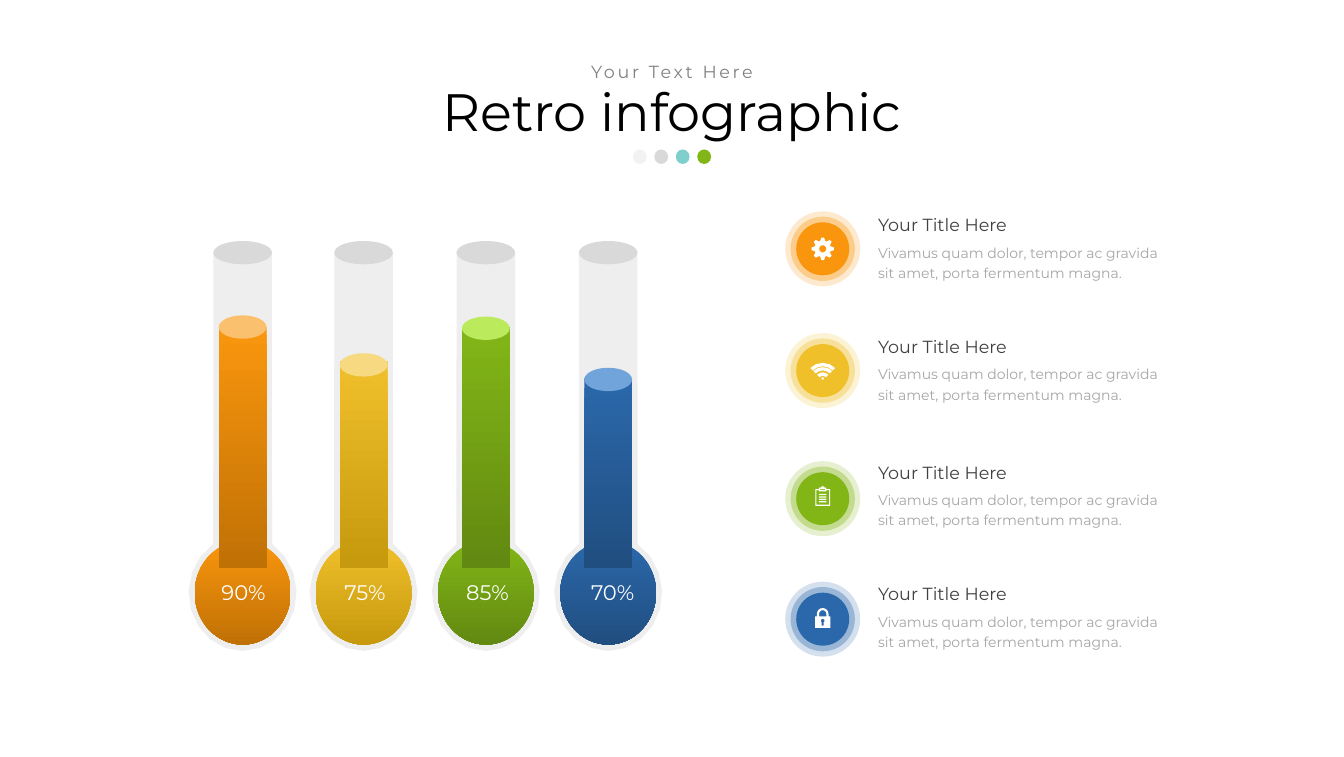
"""Build the thermometer infographic slide."""
from dataclasses import dataclass
from math import cos, radians, sin

from lxml.etree import SubElement
from pptx import Presentation
from pptx.dml.color import RGBColor
from pptx.enum.shapes import MSO_SHAPE
from pptx.enum.text import MSO_ANCHOR, MSO_AUTO_SIZE, PP_ALIGN
from pptx.oxml.ns import qn
from pptx.util import Pt

Points = list[tuple[float, float]]
FONT = "Montserrat"
BULB_Y = 676.6
BADGE_X = 938.8
BLURB = "Vivamus quam dolor, tempor ac gravida sit amet, porta fermentum magna."


@dataclass
class Thermometer:
    label: str
    x: float
    label_x: float
    fluid_top: float
    cap_top: float
    color: str
    dark: str
    cap: str


@dataclass
class Item:
    y: float
    title_top: float
    color: str
    icon: list[Points]


def rgb(color: str) -> RGBColor:
    return RGBColor.from_string(color)


def arc(y: float, rx: float, start: float, end: float, steps: int, ry: float = 0) -> Points:
    angles = [radians(start + (end - start) * i / steps) for i in range(steps + 1)]
    return [(rx * cos(a), y + (ry or rx) * sin(a)) for a in angles]


def rect(half: float, top: float, bottom: float) -> Points:
    return [(-half, top), (half, top), (half, bottom), (-half, bottom)]


def paint(sp, color: str, alpha: int = 100, dark: str = "") -> None:
    sp.shadow.inherit = False
    sp.line.fill.background()
    if dark:
        sp.fill.gradient()
        sp.fill.gradient_angle = 270
        for stop, shade in zip(sp.fill.gradient_stops, (color, dark)):
            stop.color.rgb = rgb(shade)
        return
    sp.fill.solid()
    sp.fill.fore_color.rgb = rgb(color)
    if alpha < 100:
        clr = sp.element.spPr.find(qn("a:solidFill")).find(qn("a:srgbClr"))
        SubElement(clr, qn("a:alpha")).set("val", str(alpha * 1000))


def add_ellipse(s, x: float, y: float, w: float, h: float, color: str,
                alpha: int = 100, dark: str = "") -> None:
    sp = s.shapes.add_shape(MSO_SHAPE.OVAL, Pt(x - w / 2), Pt(y - h / 2), Pt(w), Pt(h))
    paint(sp, color, alpha, dark)


def add_outline(s, x: float, y: float, contours: list[Points], color: str,
                alpha: int = 100, dark: str = "") -> None:
    paths = [[(Pt(x + dx), Pt(y + dy)) for dx, dy in c] for c in contours]
    builder = s.shapes.build_freeform(*paths[0][0])
    builder.add_line_segments(paths[0][1:])
    for path in paths[1:]:
        builder.move_to(*path[0])
        builder.add_line_segments(path[1:])
    paint(builder.convert_to_shape(), color, alpha, dark)


def write(sp, text: str, size: float, color: str, align=PP_ALIGN.LEFT,
          spacing: float = 1.0, wrap: bool = True, tracking: float = 0) -> None:
    tf = sp.text_frame
    tf.text = text
    tf.word_wrap = wrap
    tf.auto_size = MSO_AUTO_SIZE.NONE
    p = tf.paragraphs[0]
    p.alignment = align
    p.line_spacing = spacing
    p.space_before = Pt(0)
    r = p.runs[0]
    r.font.name = FONT
    r.font.size = Pt(size)
    r.font.color.rgb = rgb(color)
    if tracking:
        r.font._element.set("spc", str(int(tracking * 100)))


def place(sp, x: float, y: float, w: float, h: float) -> None:
    sp.left, sp.top, sp.width, sp.height = Pt(x), Pt(y), Pt(w), Pt(h)
    sp.text_frame.vertical_anchor = MSO_ANCHOR.MIDDLE


def add_text(s, x: float, y: float, w: float, h: float, *args, **kwargs) -> None:
    write(s.shapes.add_textbox(Pt(x), Pt(y), Pt(w), Pt(h)), *args, **kwargs)


def add_tube(s, t: Thermometer) -> None:
    glass = [(-33.4, 288), (33.4, 288)] + arc(BULB_Y, 61.6, -57, 237, 16, 66.4)
    add_outline(s, t.x, 0, [glass], "E7E6E6", 65)
    add_ellipse(s, t.x, 288.4, 67, 26.6, "D9D9D9")


def add_fluid(s, t: Thermometer) -> None:
    add_ellipse(s, t.x, BULB_Y, 109.4, 118.1, t.color, dark=t.dark)
    add_outline(s, t.x, 0, [rect(27.3, t.fluid_top, 648)], t.color, dark=t.dark)
    add_ellipse(s, t.x, t.cap_top + 13.3, 54.6, 26.6, t.cap)


def add_label(s, t: Thermometer) -> None:
    add_text(s, t.label_x - 35, 658, 70, 36, t.label, 24, "FFFFFF",
             PP_ALIGN.CENTER, wrap=False)


def add_badge(s, item: Item) -> None:
    for size, alpha in ((85.6, 20), (73.4, 35), (60.5, 100)):
        add_ellipse(s, BADGE_X, item.y, size, size, item.color, alpha)
    add_outline(s, BADGE_X, item.y, item.icon, "FFFFFF")


def add_caption(s, item: Item) -> None:
    add_text(s, 995, item.title_top, 268.6, 36, "Your Title Here", 20, "404040", spacing=1.2)
    add_text(s, 995, item.title_top + 35.2, 341.3, 54, BLURB, 16, "A6A6A6", spacing=1.2)


def gear() -> list[Points]:
    teeth = [(r * cos(radians(a + turn)), r * sin(radians(a + turn)))
             for turn in range(0, 360, 45)
             for r, a in ((9.3, -18), (12.9, -7), (12.9, 7), (9.3, 18))]
    return [teeth, arc(0, 4.2, 0, 360, 10)]


def wifi() -> list[Points]:
    bands = [arc(11.2, outer, 225, 315, 4) + arc(11.2, inner, 315, 225, 4)
             for outer, inner in ((20, 16.1), (15.1, 11.4), (9.1, 5.1))]
    return bands + [arc(9, 1.5, 0, 360, 6)]


def clipboard() -> list[Points]:
    board = [(-8.4, 8.3), (-8.4, -11), (-4.3, -11), (-4.3, -12.6),
             *arc(-12.6, 2.2, 180, 360, 4, 1.6),
             (4.3, -12.6), (4.3, -11), (8.4, -11), (8.4, 8.3)]
    page = [(-7.2, 6.8), (-7.2, -9.7), (-4.3, -9.7), (-4.3, -8.3),
            (4.3, -8.3), (4.3, -9.7), (7.2, -9.7), (7.2, 6.8)]
    lines = [rect(4.3, -5.4 + 2.7 * i, -4 + 2.7 * i) for i in range(4)]
    return [board, page, rect(2.9, -11, -9.7), *lines]


def lock() -> list[Points]:
    body = [(-8.6, 9.9), (-8.6, -3.2), (-6.6, -3.2), *arc(-6.1, 6.6, 180, 360, 8),
            (6.6, -3.2), (8.6, -3.2), (8.6, 9.9)]
    shackle = [(-4.2, -3.2), *arc(-6.1, 4.2, 180, 360, 6), (4.2, -3.2)]
    keyhole = [*arc(1.8, 2.2, 120, 420, 7), (1.1, 7.5), (-1.1, 7.5)]
    return [body, shackle, keyhole]


THERMOMETERS = [
    Thermometer("90%", 276.9, 277.9, 373, 360, "F9960E", "C07105", "FBC06E"),
    Thermometer("75%", 414.9, 416.5, 412, 403.2, "F0C02B", "C6990E", "F6D980"),
    Thermometer("85%", 554.4, 556.2, 373, 361.4, "82B617", "628911", "BCEA5D"),
    Thermometer("70%", 694, 699.1, 432, 419.8, "2B68AB", "204E80", "71A4DB"),
]
ITEMS = [
    Item(284, 236.2, "F9960E", gear()),
    Item(423, 375.1, "F0C02B", wifi()),
    Item(569.2, 518.4, "82B617", clipboard()),
    Item(706.7, 657.4, "2B68AB", lock()),
]
DOTS = [("F2F2F2", 100), ("D9D9D9", 98), ("00A39B", 50), ("82B617", 100)]


def main() -> None:
    prs = Presentation()
    prs.slide_width, prs.slide_height = Pt(1533.6), Pt(864)
    s = prs.slides.add_slide(prs.slide_layouts[0])
    title, subtitle = s.placeholders
    for t in reversed(THERMOMETERS):
        add_tube(s, t)
    for t in THERMOMETERS:
        add_fluid(s, t)
    for t in THERMOMETERS:
        add_label(s, t)
    place(title, 73.4, 93, 1386.7, 74.2)
    write(title, "Retro infographic", 60, "000000", PP_ALIGN.CENTER, 0.9)
    place(subtitle, 538.6, 70.6, 456.5, 25.2)
    write(subtitle, "Your Text Here", 20, "808080", PP_ALIGN.CENTER, 0.9, tracking=3)
    for i, (color, alpha) in enumerate(DOTS):
        add_ellipse(s, 730 + 24.5 * i, 178.9, 15.8, 16.6, color, alpha)
    for item in ITEMS:
        add_caption(s, item)
    for item in ITEMS:
        add_badge(s, item)
    prs.save("out.pptx")


if __name__ == "__main__":
    main()
